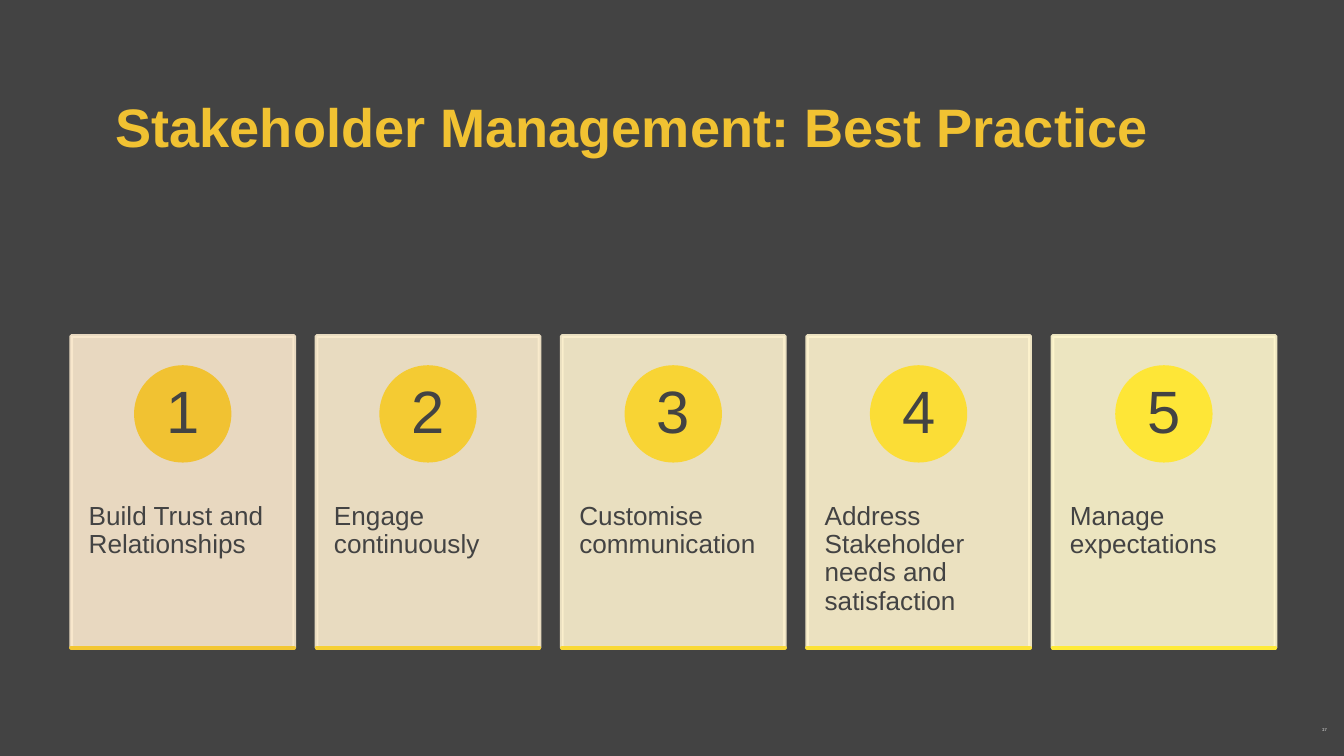
import lxml.etree
import pptx
import pptx.dml.color
import pptx.enum.shapes
import pptx.enum.text
import pptx.oxml.ns
import pptx.util

Inches, Pt = pptx.util.Inches, pptx.util.Pt
SHAPE = pptx.enum.shapes.MSO_SHAPE
ANCHOR = pptx.enum.text.MSO_ANCHOR
ALIGN = pptx.enum.text.PP_ALIGN

WIDTH = 10
HEIGHT = WIDTH * 9 / 16
COLORS = {"background": "434343", "title": "F1C232", "ink": "434343", "page": "FFFFFF"}
# Practice, card colour, badge colour, base line colour
PRACTICES = [
    ("Build Trust and Relationships", "FAE9CE", "F1C232", "F3C733"),
    ("Engage continuously", "FBECCE", "F4CB33", "F6D034"),
    ("Customise communication", "FCF0CE", "F8D434", "F9D935"),
    ("Address Stakeholder needs and satisfaction", "FEF3CE", "FBDD36", "FCE236"),
    ("Manage expectations", "FFF7CE", "FEE637", "FFEB38"),
]
TITLE = {"size": 29, "name": "Arial", "color": COLORS["title"], "bold": True}
BADGE = {"size": 32, "name": "Arial", "color": COLORS["ink"]}
LABEL = {"size": 14, "name": "Arial", "color": COLORS["ink"]}
PAGE = {"size": 2.1, "name": "Roboto", "color": COLORS["page"]}


def rgb(color):
    return pptx.dml.color.RGBColor.from_string(color)


def write(shape, text, font, inset=(0.1, 0.1), anchor=ANCHOR.MIDDLE, paragraph_format=None):
    frame = shape.text_frame
    frame.text = text
    across, down = map(Inches, inset)
    frame_format = {
        "word_wrap": True, "auto_size": pptx.enum.text.MSO_AUTO_SIZE.NONE,
        "vertical_anchor": anchor, "margin_left": across, "margin_right": across,
        "margin_top": down, "margin_bottom": down,
    }
    paragraph = frame.paragraphs[0]
    for target, values in ((frame, frame_format), (paragraph, paragraph_format or {})):
        for name, value in values.items():
            setattr(target, name, value)
    run_font = paragraph.runs[0].font
    for name, value in font.items():
        if name == "color":
            run_font.color.rgb = rgb(value)
        else:
            setattr(run_font, name, Pt(value) if name == "size" else value)


def add_text(shapes, box, text, font, **layout):
    write(shapes.add_textbox(*map(Inches, box)), text, font, **layout)


def add_filled(shapes, kind, box, color, opacity=100):
    """Add a shape whose fill and 2 pt outline share one colour and opacity."""
    shape = shapes.add_shape(kind, *map(Inches, box))
    shape.shadow.inherit = False
    shape.fill.solid()
    shape.fill.fore_color.rgb = rgb(color)
    shape.line.color.rgb = rgb(color)
    shape.line.width = Pt(2)
    if opacity < 100:
        for tint in shape.element.spPr.iter(pptx.oxml.ns.qn("a:srgbClr")):
            alpha = lxml.etree.SubElement(tint, pptx.oxml.ns.qn("a:alpha"))
            alpha.set("val", str(opacity * 1000))


def add_title(slide, box, text):
    title = slide.shapes.title
    title.left, title.top, title.width, title.height = map(Inches, box)
    write(title, text, TITLE, paragraph_format={"alignment": ALIGN.LEFT})


def add_page_number(slide, box, text):
    add_text(slide.shapes, box, text, PAGE,
             paragraph_format={"alignment": ALIGN.RIGHT, "line_spacing": 0.8,
                               "space_after": Pt(4.5)})


def add_card(shapes, box, number, practice):
    text, card_color, badge_color, base_color = practice
    left, top, width, height = box
    badge = 0.3 * height
    badge_left, badge_top = left + (width - badge) / 2, top + 0.1 * height
    margin = 0.15 * badge
    add_filled(shapes, SHAPE.RECTANGLE, box, card_color, opacity=90)
    add_text(shapes, (left, top + 0.38 * height, width, 0.6 * height), text, LABEL,
             inset=(0.13, 0.36), anchor=ANCHOR.TOP,
             paragraph_format={"line_spacing": 0.9})
    add_filled(shapes, SHAPE.OVAL, (badge_left, badge_top, badge, badge), badge_color)
    add_text(shapes,
             (badge_left + margin, badge_top + margin, badge - 2 * margin, badge - 2 * margin),
             str(number), BADGE, inset=(0.05, 0.01),
             paragraph_format={"alignment": ALIGN.CENTER, "line_spacing": 0.9})
    add_filled(shapes, SHAPE.RECTANGLE, (left, top + height, width, 0), base_color)


def add_cards(slide, box):
    """Spread the practices over equal columns, with a tenth of a card as gap."""
    left, top, width, height = box
    count = len(PRACTICES)
    card_width = width / (count + 0.1 * (count - 1))
    shapes = slide.shapes.add_group_shape().shapes
    for column, practice in enumerate(PRACTICES):
        card_left = left + column * 1.1 * card_width
        add_card(shapes, (card_left, top, card_width, height), column + 1, practice)


def main():
    deck = pptx.Presentation()
    deck.slide_width, deck.slide_height = Inches(WIDTH), Inches(HEIGHT)
    slide = deck.slides.add_slide(deck.slide_layouts.get_by_name("Title Only"))
    slide.background.fill.solid()
    slide.background.fill.fore_color.rgb = rgb(COLORS["background"])
    add_title(slide, (0.076 * WIDTH, 0.29, 0.835 * WIDTH, 0.23 * HEIGHT),
              "Stakeholder Management: Best Practice")
    add_page_number(slide, (0.96 * WIDTH, 0.94 * HEIGHT, 0.037 * WIDTH, 0.3), "27")
    add_cards(slide, (0.053 * WIDTH, 2.5, 0.896 * WIDTH, 2.32))
    deck.save("out.pptx")


if __name__ == "__main__":
    main()
